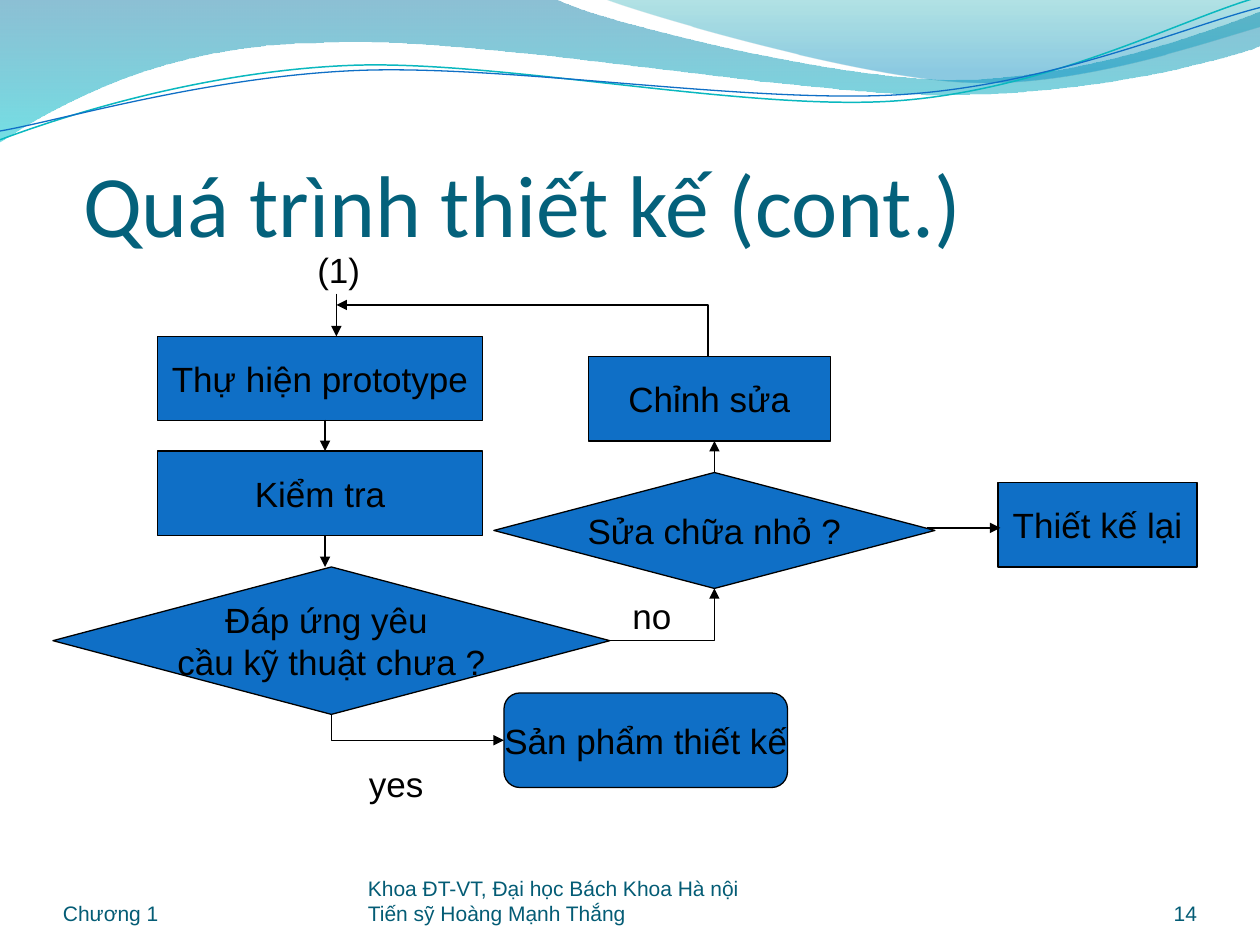
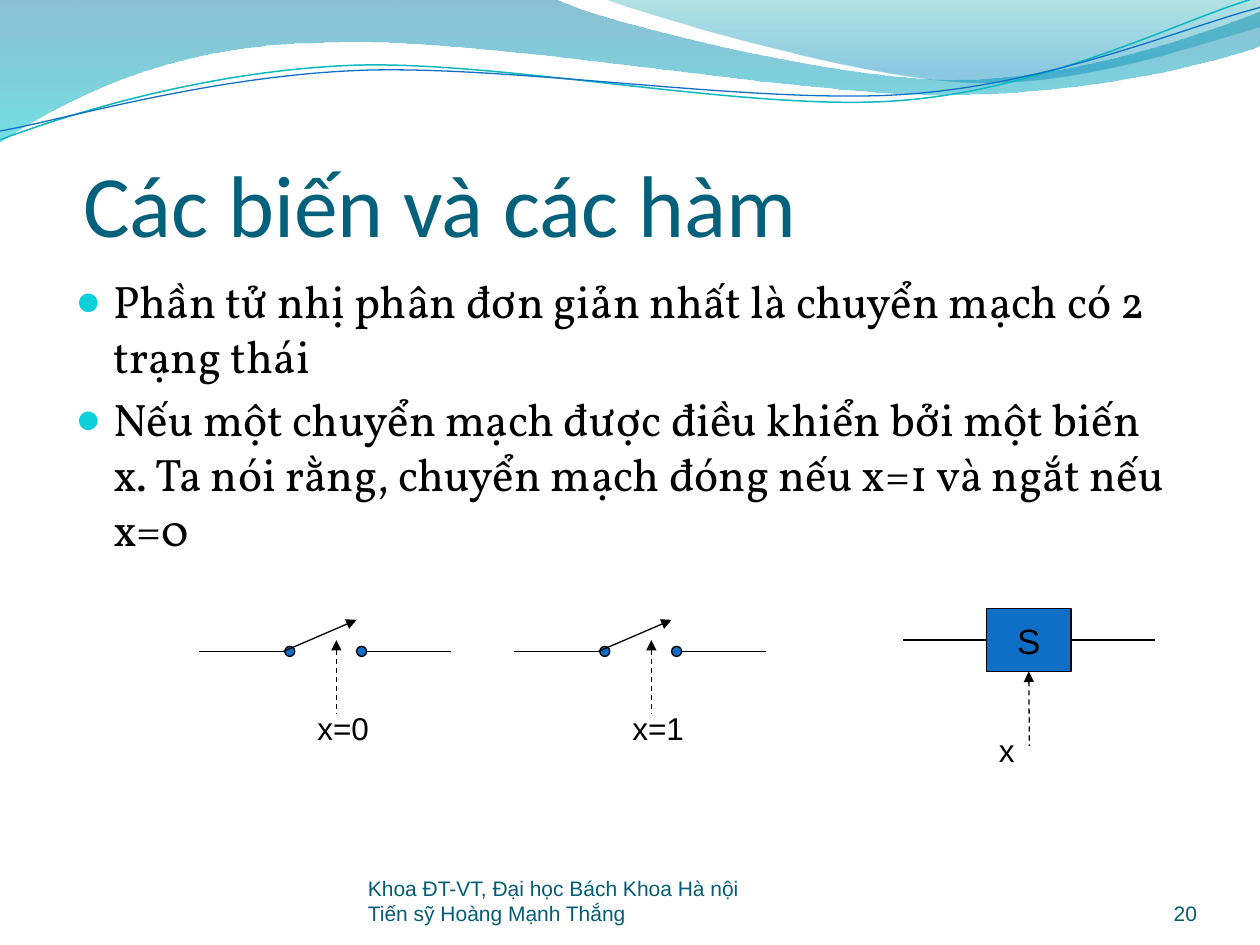
from lxml import etree
from pptx import Presentation
from pptx.dml.color import RGBColor
from pptx.enum.dml import MSO_LINE
from pptx.enum.shapes import MSO_CONNECTOR, MSO_SHAPE
from pptx.enum.text import MSO_ANCHOR, MSO_AUTO_SIZE, PP_ALIGN
from pptx.oxml.ns import qn
from pptx.util import Inches, Pt

RECT = MSO_SHAPE.RECTANGLE
ROUND = MSO_SHAPE.ROUNDED_RECTANGLE
CHOICE = MSO_SHAPE.FLOWCHART_DECISION
OVAL = MSO_SHAPE.OVAL
STRAIGHT = MSO_CONNECTOR.STRAIGHT
ELBOW = MSO_CONNECTOR.ELBOW
DASH = MSO_LINE.DASH
UPPER = MSO_ANCHOR.TOP
MIDDLE = MSO_ANCHOR.MIDDLE
BOTTOM = MSO_ANCHOR.BOTTOM
FIT = MSO_AUTO_SIZE.SHAPE_TO_FIT_TEXT
LEFT, CENTER, RIGHT = PP_ALIGN.LEFT, PP_ALIGN.CENTER, PP_ALIGN.RIGHT
TOP, WEST, BASE, EAST = range(4)

COLORS = {
    "ink": "000000",
    "blue": "0F6FC6",
    "title": "04617B",
    "foot": "045C75",
    "bullet": "0BD0D9",
    "teal": "0AB8BF",
}
FOOTER = "Khoa ĐT-VT, Đại học Bách Khoa Hà nội\vTiến sỹ Hoàng Mạnh Thắng"

VOWELS = "aăâeêioôơuưy"
TONES = {
    0x300: "àằầèềìòồờùừỳ",
    0x301: "áắấéếíóốớúứý",
    0x303: "ãẵẫẽễĩõỗỡũữỹ",
    0x309: "ảẳẩẻểỉỏổởủửỷ",
    0x323: "ạặậẹệịọộợụựỵ",
}
MARKS = {
    ord(letter): vowel + chr(tone)
    for tone, letters in TONES.items()
    for vowel, letter in zip(VOWELS, letters)
}

BANDS = [
    (
        (0, -0.01),
        [
            [(4.4, -0.01)],
            [(4.76, 0.17), (6.64, 0.63), (7.58, 0.63)],
            [(8.53, 0.63), (9.58, 0.26), (10, 0.09)],
            [(10.01, 0.36)],
            [(9.83, 0.44), (8.7, 0.76), (7.46, 0.75)],
            [(6.22, 0.75), (3.82, 0.28), (2.57, 0.34)],
            [(1.29, 0.35), (0.46, 0.83), (-0.01, 1.13)],
            [(0, -0.01)],
        ],
        [(0, "0074A1", 45), (1, "00C6CF", 55)],
    ),
    (
        (4.79, -0.01),
        [
            [(5.09, 0.11), (6.82, 0.62), (7.69, 0.65)],
            [(8.56, 0.69), (9.61, 0.32), (10, 0.21)],
            [(10, 0)],
            [(4.79, -0.01)],
        ],
        [(0, "00A1A9", 30), (0.8, "008BBF", 45)],
    ),
]
WAVES = [
    (
        (0, 1.11),
        [
            [(0.48, 0.93), (1.58, 0.57), (2.77, 0.52)],
            [(3.95, 0.47), (5.93, 0.89), (7.13, 0.8)],
            [(8.33, 0.71), (9.38, 0.15), (9.98, -0.02)],
        ],
        "teal", 0.85,
    ),
    (
        (0, 1.04),
        [
            [(0.47, 0.96), (1.64, 0.61), (2.83, 0.56)],
            [(4.03, 0.51), (5.97, 0.83), (7.17, 0.75)],
            [(8.36, 0.67), (9.41, 0.21), (10, 0.06)],
        ],
        "blue", 0.75,
    ),
]


def rgb(name):
    return RGBColor.from_string(COLORS.get(name, name))


class Deck:
    def __init__(self):
        self.file = Presentation()
        self.file.slide_width, self.file.slide_height = Inches(10), Inches(7.5)
        self.shapes = None

    def page(self, title, number, chapter=None):
        slide = self.file.slides.add_slide(self.file.slide_layouts[6])
        self.shapes = slide.shapes
        for band in BANDS:
            self.band(*band)
        for wave in WAVES:
            self.wave(*wave)
        self.text(title.translate(MARKS), (0.5, 0.77, 9, 1.25), 50, "title",
                  "Calibri", anchor=BOTTOM, insets=(0.16, 0.05, 0, 0))
        feet = [(number, 8.67, 0.83, RIGHT), (FOOTER, 2.92, 3.67, LEFT)]
        if chapter:
            feet.append((chapter, 0.5, 2.33, LEFT))
        for words, left, width, align in feet:
            self.text(words, (left, 6.95, width, 0.4), 12, "foot",
                      anchor=BOTTOM, align=align, insets=(0, 0, 0, 0))

    def outline(self, start, parts, close):
        maker = self.shapes.build_freeform(*map(Inches, start))
        points = [tuple(map(Inches, point)) for part in parts for point in part]
        maker.add_line_segments(points, close=close)
        shape = maker.convert_to_shape()
        shape.shadow.inherit = False
        lines = iter(list(shape._element.spPr.iter(qn("a:lnTo"))))
        for part in parts:
            first, *others = [next(lines) for _ in part]
            if others:
                first.tag = qn("a:cubicBezTo")
                for other in others:
                    first.append(other[0])
                    other.getparent().remove(other)
        return shape

    def band(self, start, parts, stops):
        shape = self.outline(start, parts, True)
        shape.line.fill.background()
        shape.fill.gradient()
        shape.fill.gradient_angle = 270
        for stop, (place, color, _) in zip(shape.fill.gradient_stops, stops):
            stop.position = place
            stop.color.rgb = rgb(color)
        tints = list(shape._element.spPr.iter(qn("a:srgbClr")))
        for tint, (_, _, alpha) in zip(tints, stops):
            etree.SubElement(tint, qn("a:alpha"), val=str(alpha * 1000))

    def wave(self, start, parts, color, width):
        shape = self.outline(start, parts, False)
        shape.fill.background()
        self.stroke(shape.line, color, width)

    def stroke(self, line, color="ink", width=0.75):
        line.color.rgb = rgb(color)
        line.width = Pt(width)

    def style(self, frame, size, color, font, align):
        for para in frame.paragraphs:
            para.alignment = align
            for run in para.runs:
                run.font.size = Pt(size)
                run.font.name = font
                run.font.color.rgb = rgb(color)

    def text(self, words, place, size, color="ink", font="Arial",
             anchor=UPPER, align=LEFT, insets=(0.1, 0.05, 0.1, 0.05)):
        frame = self.shapes.add_textbox(*map(Inches, place)).text_frame
        frame.word_wrap = True
        frame.vertical_anchor = anchor
        (frame.margin_left, frame.margin_top,
         frame.margin_right, frame.margin_bottom) = map(Inches, insets)
        frame.text = words
        self.style(frame, size, color, font, align)
        return frame

    def label(self, words, place, size=20):
        frame = self.text(words, place, size)
        frame.word_wrap = False
        frame.auto_size = FIT

    def bullets(self, items, place):
        words = "\n".join(items).translate(MARKS)
        frame = self.text(words, place, 26, font="Vollkorn")
        for index, para in enumerate(frame.paragraphs):
            props = para._p.get_or_add_pPr()
            props.set("marL", str(Inches(0.3)))
            props.set("indent", str(Inches(-0.3)))
            tint = etree.SubElement(props, qn("a:buClr"))
            etree.SubElement(tint, qn("a:srgbClr"), val=COLORS["bullet"])
            etree.SubElement(props, qn("a:buSzPct"), val="95000")
            etree.SubElement(props, qn("a:buFont"), typeface="Arial")
            etree.SubElement(props, qn("a:buChar"), char="●")
            para.space_before = Pt(5.2 if index else 0)

    def box(self, place, words="", kind=RECT):
        shape = self.shapes.add_shape(kind, *map(Inches, place))
        shape.shadow.inherit = False
        shape.fill.solid()
        shape.fill.fore_color.rgb = rgb("blue")
        self.stroke(shape.line)
        if words:
            frame = shape.text_frame
            frame.text = words.translate(MARKS)
            frame.word_wrap = False
            frame.vertical_anchor = MIDDLE
            self.style(frame, 20, "ink", "Arial", CENTER)
        return shape

    def link(self, start, end, tip=None, dash=False, bent=False,
             begin=None, finish=None):
        line = self.shapes.add_connector(
            ELBOW if bent else STRAIGHT, *map(Inches, (*start, *end)))
        if begin:
            line.begin_connect(*begin)
        if finish:
            line.end_connect(*finish)
        self.stroke(line.line)
        if dash:
            line.line.dash_style = DASH
        props = line._element.spPr
        if bent:
            props.find(qn("a:prstGeom")).set("prst", "bentConnector2")
        if tip:
            etree.SubElement(props.find(qn("a:ln")), qn(f"a:{tip}End"), type="triangle")
        etree.SubElement(props, qn("a:effectLst"))

    def switch(self, left, words):
        y = 5.17
        for start in (left, left + 1.33):
            self.link((start, y), (start + 0.67, y))
        for dot in (left + 0.68, left + 1.25):
            self.box((dot, 5.13, 0.08, 0.08), kind=OVAL)
        self.link((left + 0.67, y), (left + 1.25, 4.92), "tail")
        self.link((left + 1.09, 5.08), (left + 1.09, 5.67), "head", dash=True)
        self.label(words, (left + 0.84, 5.58, 0.61, 0.4), 18)


def design(deck):
    deck.page("Quá trình thiết kế (cont.)", "14", "Chương 1")
    deck.box((1.25, 2.67, 2.58, 0.67), "Thự hiện prototype")
    deck.box((1.25, 3.58, 2.58, 0.67), "Kiểm tra")
    deck.box((4.67, 2.83, 1.92, 0.67), "Chỉnh sửa")
    deck.box((7.92, 3.83, 1.58, 0.67), "Thiết kế lại")
    meets = deck.box((0.42, 4.5, 4.42, 1.17), "Đáp ứng yêu \ncầu kỹ thuật chưa ?", CHOICE)
    minor = deck.box((3.92, 3.75, 3.5, 0.92), "Sửa chữa nhỏ ?", CHOICE)
    final = deck.box((4, 5.5, 2.25, 0.75), "Sản phẩm thiết kế", ROUND)

    deck.link((2.67, 2.33), (2.67, 2.67), "tail")
    for y in (3.33, 4.25):
        deck.link((2.58, y), (2.58, y + 0.25), "tail")
    deck.link((5.67, 3.75), (5.67, 3.5), "tail", begin=(minor, TOP))
    deck.link((7.36, 4.19), (7.94, 4.19), "tail")
    deck.link((4.83, 5.08), (5.67, 4.67), "tail", bent=True,
              begin=(meets, EAST), finish=(minor, BASE))
    deck.link((4, 5.88), (2.62, 5.67), "head", bent=True,
              begin=(final, WEST), finish=(meets, BASE))
    deck.link((2.67, 2.42), (5.62, 2.83), "head", bent=True)

    deck.label("no", (4.92, 4.67, 0.51, 0.43))
    deck.label("yes", (2.83, 6, 0.63, 0.43))
    deck.label("(1)", (2.42, 1.92, 0.54, 0.43))


def switches(deck):
    deck.page("Các biến và các hàm", "20")
    deck.bullets([
        "Phần tử nhị phân đơn giản nhất là chuyển mạch có 2 trạng thái",
        "Nếu một chuyển mạch được điều khiển bởi một biến x. "
        "Ta nói rằng, chuyển mạch đóng nếu x=1 và ngắt nếu x=0",
    ], (0.5, 2.12, 9, 4.8))
    for index in range(2):
        deck.switch(1.58 + 2.5 * index, f"x={index}")
    gate = deck.box((7.83, 4.83, 0.67, 0.5), "S")
    deck.link((7.17, 5.08), (7.83, 5.08), finish=(gate, WEST))
    deck.link((8.5, 5.08), (9.17, 5.08), begin=(gate, EAST))
    deck.link((8.17, 5.33), (8.17, 5.92), "head", dash=True, begin=(gate, BASE))
    deck.label("x", (7.83, 5.75, 0.33, 0.4), 18)


def main():
    deck = Deck()
    design(deck)
    switches(deck)
    deck.file.save("out.pptx")


if __name__ == "__main__":
    main()
